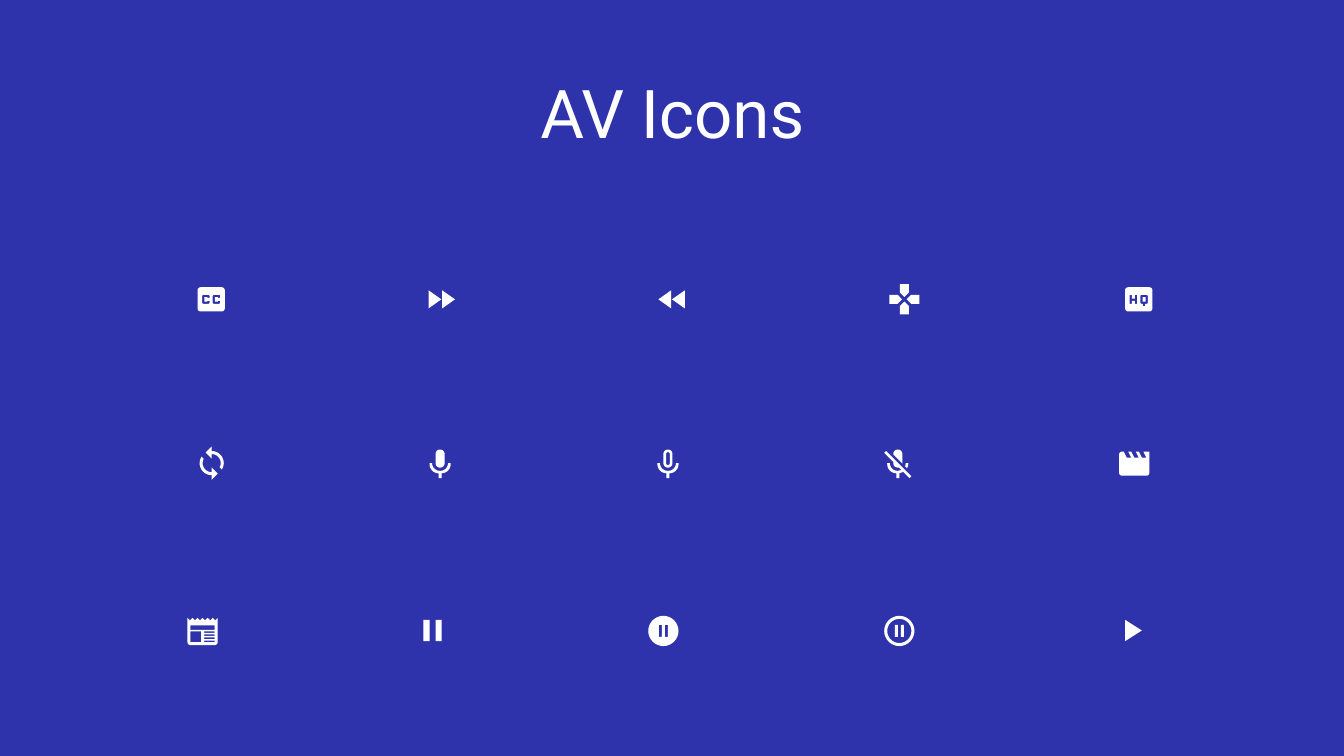
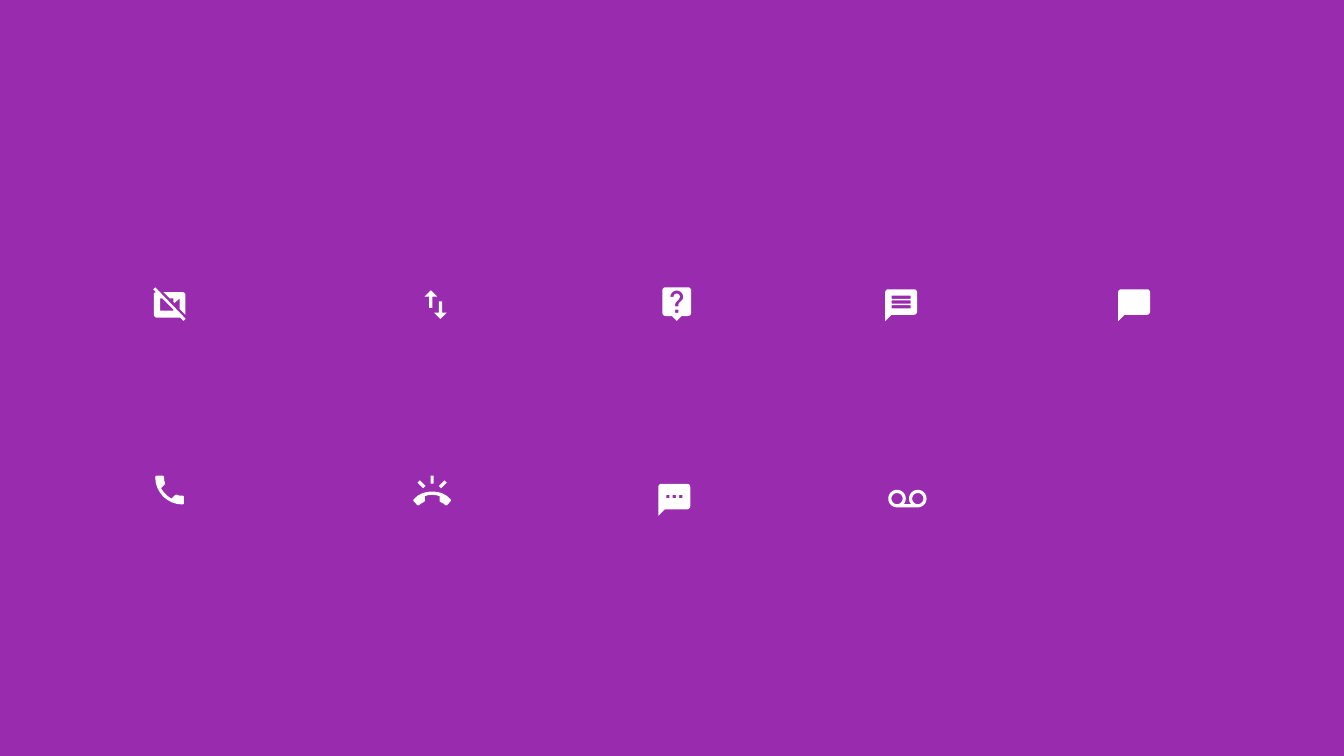
from typing import NamedTuple

from pptx import Presentation
from pptx.dml.color import RGBColor
from pptx.enum.text import MSO_ANCHOR, MSO_AUTO_SIZE, PP_ALIGN
from pptx.util import Inches, Pt

CENTER = PP_ALIGN.CENTER
MIDDLE = MSO_ANCHOR.MIDDLE
FIXED = MSO_AUTO_SIZE.NONE
COLORS = {"indigo": "2E33AC", "purple": "992BAE", "white": "FFFFFF"}
FONT = "Roboto"
GRID = 24
STEPS = 8
BEND = 0.55


class Dot(NamedTuple):
    x: float
    y: float
    r: float = 0


Path = list[Dot]


class Icon(NamedTuple):
    left: float
    top: float
    paths: list[Path]


class Page(NamedTuple):
    color: str
    size: float
    icons: list[Icon]
    title: str = ""


def trace(text: str) -> Path:
    return [Dot(*map(float, part.split(","))) for part in text.split()]


def box(x: float, y: float, w: float, h: float, r: float = 0) -> Path:
    return [Dot(x, y, r), Dot(x + w, y, r), Dot(x + w, y + h, r), Dot(x, y + h, r)]


def shift(path: Path, dx: float) -> Path:
    return [Dot(d.x + dx, d.y, d.r) for d in path]


def flip(path: Path) -> Path:
    return [Dot(GRID - d.x, d.y, d.r) for d in path]


def spin(path: Path) -> Path:
    return [Dot(GRID - d.x, GRID - d.y, d.r) for d in path]


def mirror(path: Path) -> Path:
    return path + flip(path)[::-1]


def toward(dot: Dot, goal: Dot) -> Dot:
    gap = ((goal.x - dot.x) ** 2 + (goal.y - dot.y) ** 2) ** 0.5
    part = dot.r / gap
    return Dot(dot.x + (goal.x - dot.x) * part, dot.y + (goal.y - dot.y) * part)


def bezier(a: float, corner: float, b: float, t: float) -> float:
    c = a + (corner - a) * BEND
    d = b + (corner - b) * BEND
    u = 1 - t
    return a * u**3 + 3 * c * u * u * t + 3 * d * u * t * t + b * t**3


def smooth(path: Path) -> Path:
    dots = []
    for i, dot in enumerate(path):
        if not dot.r:
            dots.append(dot)
            continue
        a = toward(dot, path[i - 1])
        b = toward(dot, path[(i + 1) % len(path)])
        for step in range(STEPS + 1):
            t = step / STEPS
            dots.append(Dot(bezier(a.x, dot.x, b.x, t), bezier(a.y, dot.y, b.y, t)))
    return dots


def draw(slide, icon: Icon, size: float) -> None:
    paths = [smooth(path) for path in icon.paths]
    west = min(d.x for path in paths for d in path)
    north = min(d.y for path in paths for d in path)
    unit = size / GRID
    pen = None
    for path in paths:
        spots = [
            (Inches(icon.left + (d.x - west) * unit), Inches(icon.top + (d.y - north) * unit))
            for d in path
        ]
        if pen is None:
            pen = slide.shapes.build_freeform(*spots[0], scale=1.0)
        else:
            pen.move_to(*spots[0])
        pen.add_line_segments(spots[1:], close=True)
    shape = pen.convert_to_shape()
    shape.shadow.inherit = False
    shape.fill.solid()
    shape.fill.fore_color.rgb = RGBColor.from_string(COLORS["white"])
    shape.line.fill.background()


def write(shape, text: str, *, size: float, color: str, align=CENTER, space: float = 0.9) -> None:
    frame = shape.text_frame
    frame.word_wrap = True
    frame.auto_size = FIXED
    frame.vertical_anchor = MIDDLE
    para = frame.paragraphs[0]
    para.alignment = align
    para.line_spacing = space
    run = para.add_run()
    run.text = text
    run.font.name = FONT
    run.font.size = Pt(size)
    run.font.color.rgb = RGBColor.from_string(COLORS[color])


def build(deck, page: Page) -> None:
    slide = deck.slides.add_slide(deck.slide_layouts[5 if page.title else 6])
    slide.background.fill.solid()
    slide.background.fill.fore_color.rgb = RGBColor.from_string(COLORS[page.color])
    for icon in page.icons:
        draw(slide, icon, page.size)
    if page.title:
        title = slide.shapes.title
        title.left, title.top = Inches(0.92), Inches(0.82)
        title.width, title.height = Inches(11.5), Inches(0.68)
        write(title, page.title, size=48, color="white")


CARD = box(3, 4, 18, 16, 2)
C = trace("11,11 9.5,11 9.5,10.5 7.5,10.5 7.5,13.5 9.5,13.5 9.5,13 11,13 11,15,1 6,15,1 6,9,1 11,9,1")
H = trace("11,15 9.5,15 9.5,13 7.5,13 7.5,15 6,15 6,9 7.5,9 7.5,11.5 9.5,11.5 9.5,9 11,9")
Q = trace("18,15,1 16.25,15 16.25,16.5 14.75,16.5 14.75,15 13,15,1 13,9,1 18,9,1")
SKIP = [trace("4,18 12.5,12 4,6"), trace("13,6 13,18 21.5,12")]
PADS = [trace("15,7.5 15,2 9,2 9,7.5 12,10.5"), trace("7.5,9 2,9 2,15 7.5,15 10.5,12")]
SYNC = trace("12,4 12,1 8,5 12,9 12,6 18,6,6 18,12 17.82,13.46 17.3,14.8 18.76,16.26 19.68,14.2 20,12 20,4,8")
MIC = box(9, 2, 6, 12, 3)
STAND = mirror(trace("12,16.1 6.7,16.1,5.1 6.7,11 5,11 5,17.72,6 11,17.72 11,21"))
MUTE = [
    trace("19,11 17.3,11 16.87,13.05 18.1,14.28 18.75,13"),
    trace("14.98,11.17 15,2,3 9,2,3 9,5.18"),
    trace(
        "4.27,3 3,4.27 9.01,10.28 9.01,14,3 12.65,13.92 14.31,15.58 12,16.1 6.7,16.1,5.1 "
        "6.7,11 5,11 5,17.72,6 11,17.72 11,21 13,21 13,17.72 15.54,16.82 19.73,21 21,19.73"
    ),
]
FILM = trace(
    "18,4 20,8 17,8 15,4 13,4 15,8 12,8 10,4 8,4 10,8 7,8 5,4 2,4,2 2,20,2 22,20,2 22,4"
)
SHEET = [Dot(2 + i * 20 / 12, 4.67 if i % 2 else 3) for i in range(13)]
SHEET += trace("22,21,2 2,21,2")
NEWS = [SHEET, box(4, 8, 16, 3), box(4, 12, 7, 7)]
NEWS += [box(13, y, 7, 1) for y in range(12, 19, 2)]
DISC = box(2, 2, 20, 20, 10)
BARS = [box(9, 8, 2, 8), box(13, 8, 2, 8)]

CAMERA = [
    trace("8.4,5 12.4,9 14.6,9 14.6,11 15.4,11.8 18.5,9 18.5,15.5 22.2,19.2 22.2,5,2"),
    trace("3.27,2 2,3.27 3.8,5.1 2.4,5.6 2.4,21,2 19,21 21,23 22.3,21.7"),
    trace("6.4,9 7.7,9 14.7,16 14.7,16.6 6.4,16.6"),
]
ARROW = trace("9,3 5,7 8,7 8,14 10,14 10,7 13,7")
HELP = [
    trace("21,2,2 3,2,2 3,20,2 9,20 12,23 15,20 21,20,2"),
    box(11, 16, 2, 2),
    trace(
        "13,14 13,12.3,1 15.07,10.25 16,9.3,0.9 16,8 16,4,4 8,4,4 8,8 10,8 "
        "10,6,2 14,6,2 14,8 13.41,9.41 12.17,10.67 11,12,1 11,14"
    ),
]
CHAT = trace("22,2,2 2,2,2 2,22 6,18 22,18,2")
PHONE = trace(
    "6.62,10.79 9,15,4.5 13.21,17.38 15.9,14.7,0.7 18,15.4 21,15.51,1 21,21,1 "
    "20,21 3,21,17 3,3,1 8.5,3,1 8.6,6 9.3,8.1,0.7"
)
HORN = mirror(
    trace("12,12 5.5,12,5 -0.2,17.38,1 3.2,20.9,0.9 5,19.4 7.4,18.2,0.6 7.4,14.73 9.7,14.15 12,14")
)
TICK = trace("6.4,9.81 7.81,8.4 4.26,4.84 2.84,6.26")
TAPE = mirror(trace("12,15 9.74,15 10.7,13.4 11,11.5 11,6,5.5 0,6,5.5 0,17,5.5 12,17"))
REEL = box(2, 8, 7, 7, 3.5)

PAGES = [
    Page("indigo", 0.36, [
        Icon(1.96, 2.85, [CARD, C, shift(C, 7)]),
        Icon(4.25, 2.88, SKIP),
        Icon(6.53, 2.88, [flip(path) for path in SKIP]),
        Icon(8.82, 2.82, PADS + [spin(path) for path in PADS]),
        Icon(11.16, 2.85, [CARD, H, Q, box(14.5, 10.5, 2, 3)]),
        Icon(1.98, 4.43, [SYNC, spin(SYNC)]),
        Icon(4.26, 4.46, [MIC, STAND]),
        Icon(6.52, 4.46, [MIC, box(10.8, 3.7, 2.4, 8.6, 1.2), STAND]),
        Icon(8.77, 4.46, MUTE),
        Icon(11.1, 4.48, [FILM]),
        Icon(1.86, 6.13, NEWS),
        Icon(4.2, 6.15, [box(6, 5, 4, 14), box(14, 5, 4, 14)]),
        Icon(6.43, 6.11, [DISC, *BARS]),
        Icon(8.77, 6.11, [DISC, box(4, 4, 16, 16, 8), *BARS]),
        Icon(11.16, 6.15, [trace("8,5 8,19 19,12")]),
    ], "AV Icons"),
    Page("purple", 0.38, [
        Icon(1.52, 2.85, CAMERA),
        Icon(4.21, 2.88, [ARROW, spin(ARROW)]),
        Icon(6.57, 2.85, HELP),
        Icon(8.78, 2.87, [CHAT] + [box(6, y, 12, 2) for y in (6, 9, 12)]),
        Icon(11.09, 2.87, [CHAT]),
        Icon(4.1, 4.72, [HORN, TICK, flip(TICK), box(11, 2, 2, 5)]),
        Icon(1.54, 4.72, [PHONE]),
        Icon(6.53, 4.8, [CHAT] + [box(x, 9, 2, 2) for x in (7, 11, 15)]),
        Icon(8.81, 4.86, [TAPE, REEL, flip(REEL)]),
    ]),
]


def main() -> None:
    deck = Presentation()
    deck.slide_width, deck.slide_height = Inches(13.33), Inches(7.5)
    for page in PAGES:
        build(deck, page)
    deck.save("out.pptx")


if __name__ == "__main__":
    main()
